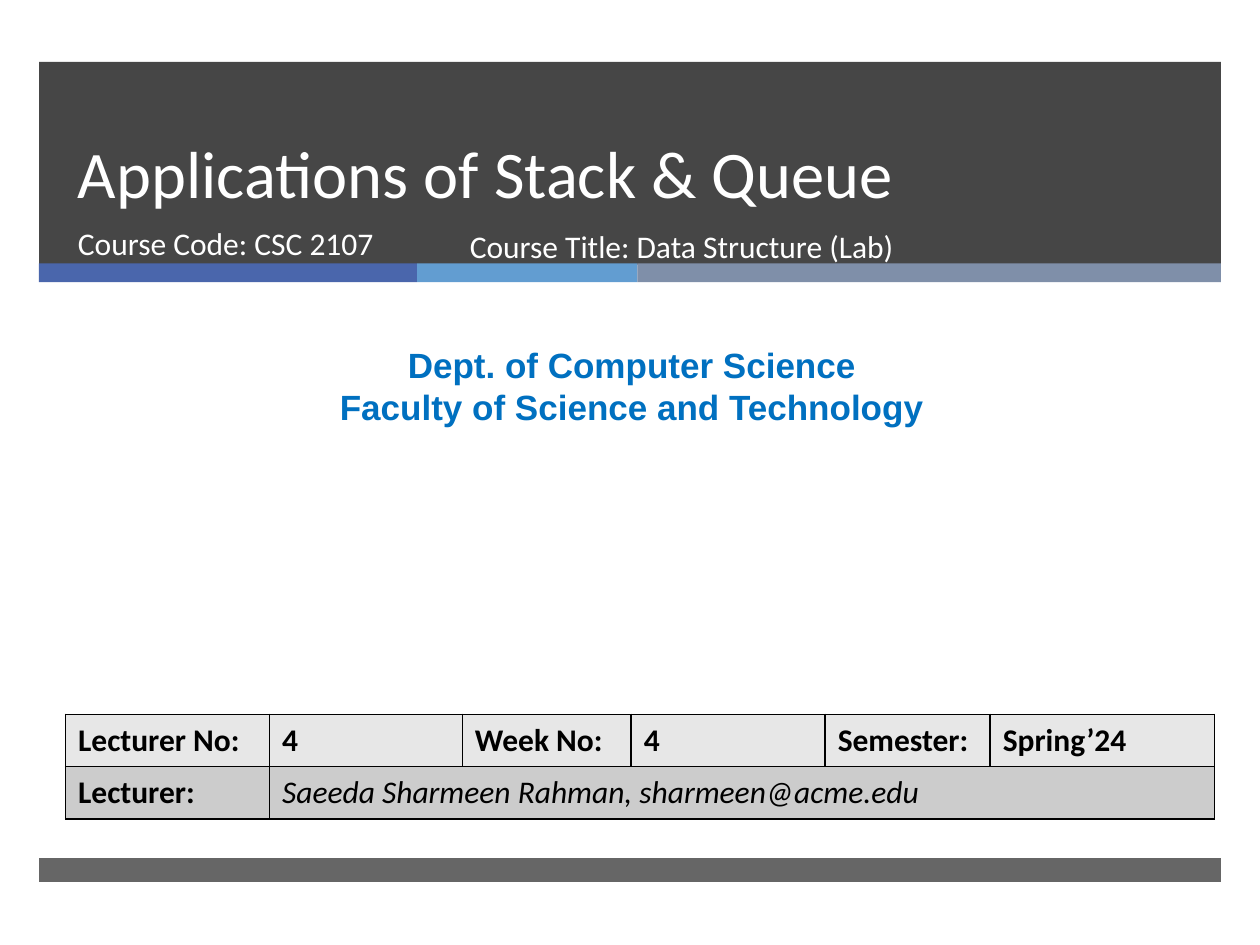
from lxml import etree
from pptx import Presentation
from pptx.dml.color import RGBColor
from pptx.enum.shapes import MSO_SHAPE
from pptx.enum.text import MSO_ANCHOR, PP_ALIGN
from pptx.oxml.ns import qn
from pptx.util import Inches, Pt

RECTANGLE = MSO_SHAPE.RECTANGLE
TOP, MIDDLE, BOTTOM = MSO_ANCHOR.TOP, MSO_ANCHOR.MIDDLE, MSO_ANCHOR.BOTTOM
LEFT, CENTER = PP_ALIGN.LEFT, PP_ALIGN.CENTER

CHARCOAL = RGBColor(0x26, 0x26, 0x26)
INDIGO = RGBColor(0x4A, 0x66, 0xAC)
SKY = RGBColor(0x62, 0x9D, 0xD1)
SLATE = RGBColor(0x7F, 0x8F, 0xA9)
BLUE = RGBColor(0x00, 0x70, 0xC0)
WHITE = RGBColor(0xFF, 0xFF, 0xFF)
BLACK = RGBColor(0x00, 0x00, 0x00)
LIGHT_GRAY = RGBColor(0xE7, 0xE7, 0xE7)
MID_GRAY = RGBColor(0xCC, 0xCC, 0xCC)

BAND_LEFT, BAND_WIDTH = 0.31, 9.38


def style_paragraph(paragraph, size, color, name="Calibri", bold=False, italic=False):
    font = paragraph.font
    font.name, font.size = name, Pt(size)
    font.bold, font.italic = bold, italic
    font.color.rgb = color


def add_bar(slide, left, top, width, height, color, opacity=100):
    bar = slide.shapes.add_shape(
        RECTANGLE, Inches(left), Inches(top), Inches(width), Inches(height))
    bar.shadow.inherit = False
    bar.line.fill.background()
    bar.fill.solid()
    bar.fill.fore_color.rgb = color
    if opacity < 100:
        color_element = bar._element.spPr.find(qn("a:solidFill"))[0]
        etree.SubElement(color_element, qn("a:alpha"), val=str(opacity * 1000))


def add_text(slide, left, top, width, height, lines, size, color,
             name="Calibri", bold=False, align=LEFT, anchor=TOP, spacing=None):
    box = slide.shapes.add_textbox(
        Inches(left), Inches(top), Inches(width), Inches(height))
    frame = box.text_frame
    frame.word_wrap = True
    frame.vertical_anchor = anchor
    frame.text = "\n".join(lines)
    for paragraph in frame.paragraphs:
        paragraph.alignment = align
        if spacing:
            paragraph.line_spacing = Pt(spacing)
        style_paragraph(paragraph, size, color, name, bold)


def add_header(slide, left, top, width, height):
    add_bar(slide, left, top, width, height, CHARCOAL, 85)
    stripe_left = left
    for stripe_width, color in ((3, INDIGO), (1.75, SKY), (width - 4.75, SLATE)):
        add_bar(slide, stripe_left, top + height - 0.01, stripe_width, 0.15, color)
        stripe_left += stripe_width
    add_text(slide, left + 0.21, top + 0.05, 8.54, 1.19,
             ["Applications of Stack & Queue"], 38, WHITE, anchor=BOTTOM, spacing=46)
    add_text(slide, left + 0.21, top + 1.24, 3.05, 0.53,
             ["Course Code: CSC 2107"], 18, WHITE)
    add_text(slide, left + 3.32, top + 1.26, 4.55, 0.53,
             ["Course Title: Data Structure (Lab)"], 18, WHITE)


def add_borders(cell):
    properties = cell._tc.get_or_add_tcPr()
    for position, side in enumerate(("a:lnL", "a:lnR", "a:lnT", "a:lnB")):
        line = etree.Element(qn(side), w=str(Pt(1)))
        fill = etree.SubElement(line, qn("a:solidFill"))
        etree.SubElement(fill, qn("a:srgbClr"), val=str(BLACK))
        properties.insert(position, line)


def add_lecture_table(slide, left, top, width, height):
    rows = (
        ("Lecturer No:", "4", "Week No:", "4", "Semester:", "Spring’24"),
        ("Lecturer:", "Saeeda Sharmeen Rahman, sharmeen@acme.edu", "", "", "", ""),
    )
    column_widths = (1.62, 1.53, 1.34, 1.54, 1.31, 1.78)
    table = slide.shapes.add_table(
        len(rows), len(column_widths),
        Inches(left), Inches(top), Inches(width), Inches(height)).table
    for column, column_width in zip(table.columns, column_widths):
        column.width = Inches(column_width)
    table.cell(1, 1).merge(table.cell(1, 5))
    for row_index, (texts, color) in enumerate(zip(rows, (LIGHT_GRAY, MID_GRAY))):
        for column_index, text in enumerate(texts):
            cell = table.cell(row_index, column_index)
            cell.fill.solid()
            cell.fill.fore_color.rgb = color
            add_borders(cell)
            if text:
                is_name = (row_index, column_index) == (1, 1)
                cell.text = text
                cell.vertical_anchor = MIDDLE
                style_paragraph(cell.text_frame.paragraphs[0], 18, BLACK,
                                bold=not is_name, italic=is_name)


def main():
    presentation = Presentation()
    presentation.slide_width, presentation.slide_height = Inches(10), Inches(7.5)
    slide = presentation.slides.add_slide(presentation.slide_layouts[6])
    add_header(slide, BAND_LEFT, 0.49, BAND_WIDTH, 1.61)
    add_bar(slide, BAND_LEFT, 6.81, BAND_WIDTH, 0.19, CHARCOAL, 70)
    add_text(slide, 0.08, 2.68, 9.87, 0.77,
             ["Dept. of Computer Science", "Faculty of Science and Technology"],
             20, BLUE, name="Arial", bold=True, align=CENTER)
    add_lecture_table(slide, 0.52, 5.67, 9.12, 0.83)
    presentation.save("out.pptx")


if __name__ == "__main__":
    main()
